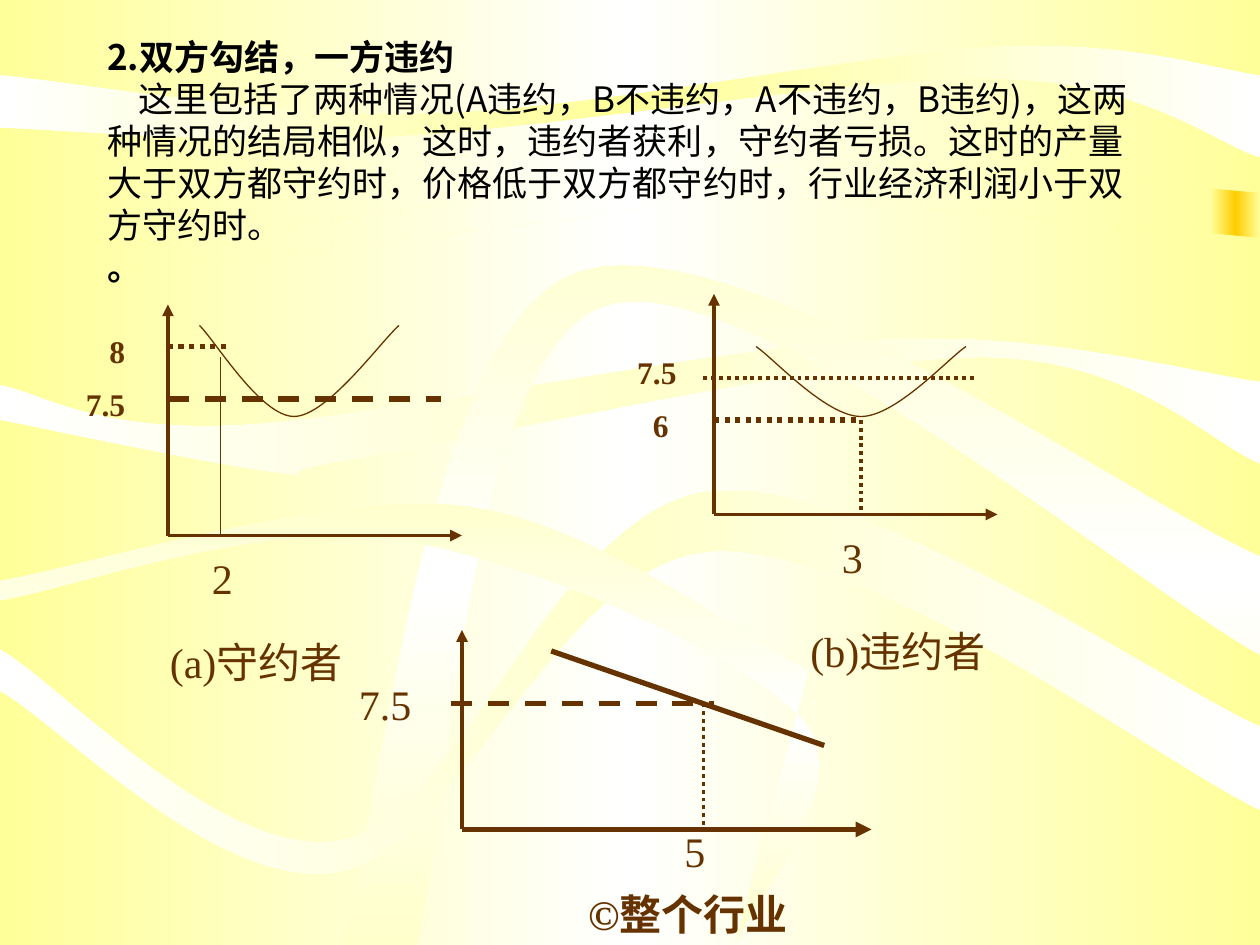
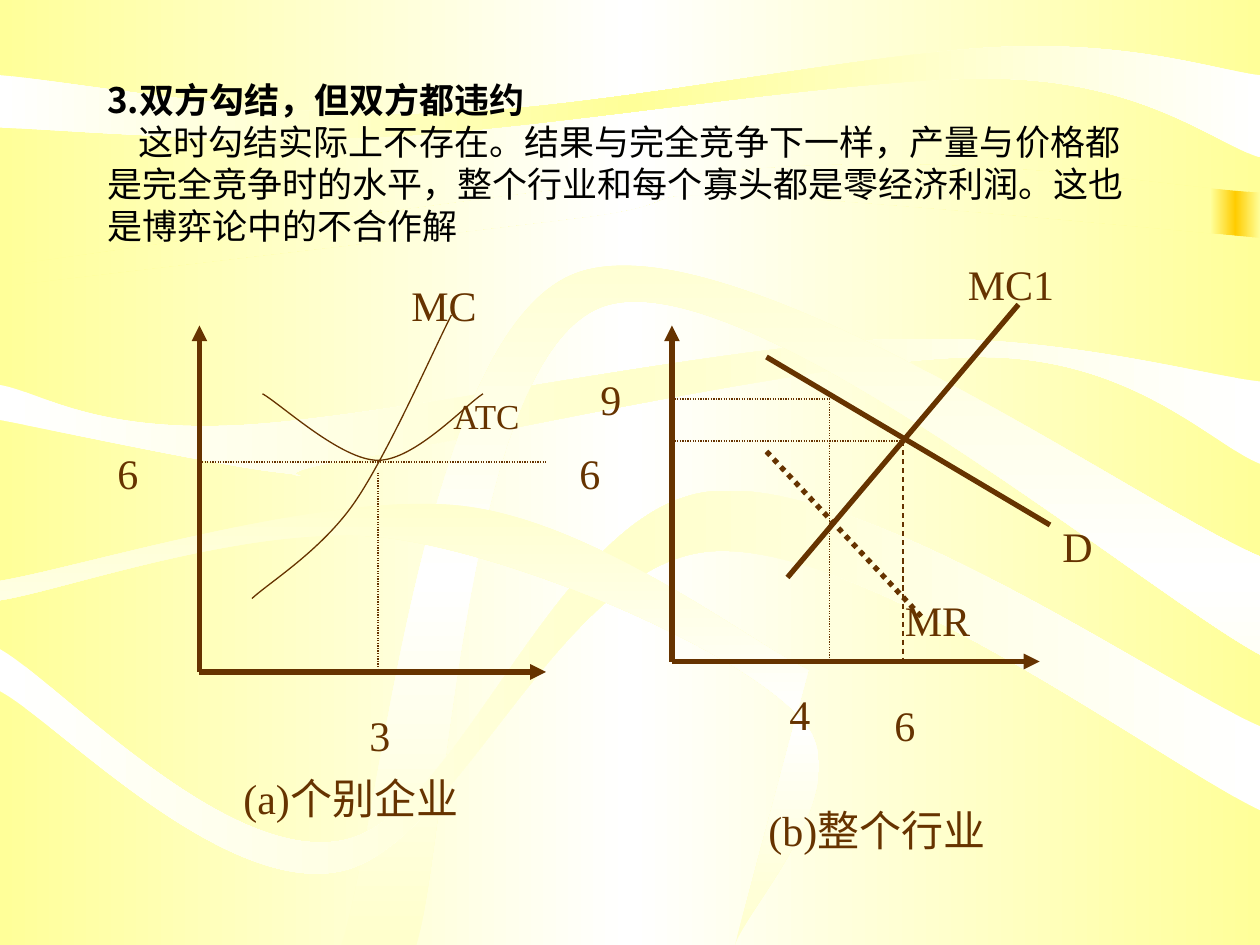
"""Two slides on collusion: one party cheating, and both parties cheating."""
from copy import deepcopy
from dataclasses import dataclass

from lxml import etree
from pptx import Presentation
from pptx.dml.color import RGBColor
from pptx.enum.dml import MSO_LINE
from pptx.enum.shapes import MSO_CONNECTOR, MSO_SHAPE
from pptx.enum.text import MSO_ANCHOR, MSO_AUTO_SIZE, PP_ALIGN
from pptx.oxml.ns import qn
from pptx.util import Pt

SOLID, DOT, DASH = None, MSO_LINE.ROUND_DOT, MSO_LINE.DASH
LEFT, CENTER = PP_ALIGN.LEFT, PP_ALIGN.CENTER
STRAIGHT, RECTANGLE = MSO_CONNECTOR.STRAIGHT, MSO_SHAPE.RECTANGLE
MIDDLE, NO_FIT, GROW = MSO_ANCHOR.MIDDLE, MSO_AUTO_SIZE.NONE, MSO_AUTO_SIZE.SHAPE_TO_FIT_TEXT


@dataclass(frozen=True)
class Theme:
    ink: RGBColor = RGBColor.from_string("663300")
    black: RGBColor = RGBColor.from_string("000000")
    white: RGBColor = RGBColor.from_string("FFFFFF")
    yellow: RGBColor = RGBColor.from_string("FFFF99")
    cream: RGBColor = RGBColor.from_string("FFFFCC")
    gold: RGBColor = RGBColor.from_string("FFCC00")
    title_font: str = "Noto Sans CJK SC"
    label_font: str = "Times New Roman"
    title: int = 20
    title_line: int = 24
    label: int = 24
    curve_name: int = 20
    price: int = 18
    thin: float = 0.75
    medium: float = 2.25
    thick: float = 3


THEME = Theme()
THIN, MEDIUM, THICK = THEME.thin, THEME.medium, THEME.thick
WIDTH, HEIGHT = 720, 540
OVERHANG = 6


def trace_path(shapes, edges, closed=False):
    """Draw each edge as a smooth curve through its points, edges joined by lines."""
    vertices, curved = [], []
    for edge in edges:
        vertices.append(edge[0])
        curved.append(False)
        padded = [edge[0], *edge, edge[-1]]
        for before, start, end, after in zip(padded, padded[1:], padded[2:], padded[3:]):
            vertices += [[s + (e - b) / 6 for b, s, e in zip(before, start, end)],
                         [e - (a - s) / 6 for s, e, a in zip(start, end, after)], end]
            curved.append(True)
    points = [(Pt(x), Pt(y)) for x, y in vertices]
    builder = shapes.build_freeform(*points[0])
    builder.add_line_segments(points[1:], close=closed)
    outline = builder.convert_to_shape()
    outline.shadow.inherit = False
    steps = iter(outline.element.findall(".//" + qn("a:lnTo")))
    for is_curve in curved[1:]:
        step = next(steps)
        if is_curve:
            step.tag = qn("a:cubicBezTo")
            for handle in (next(steps), next(steps)):
                step.append(handle[0])
                handle.getparent().remove(handle)
    return outline


def fill_gradient(fill, edge, middle, angle=0):
    """Blend from edge to middle and back to edge."""
    fill.gradient()
    fill.gradient_angle = angle
    first = fill.gradient_stops[0]._gs
    first.addnext(deepcopy(first))
    for index, (stop, color) in enumerate(zip(fill.gradient_stops, (edge, middle, edge))):
        stop.color.rgb = color
        stop.position = index / 2


ACROSS, UPRIGHT = 0, 270
RIBBONS = [
    (THEME.yellow, THEME.white, ACROSS, [
        [(0, 0)], [(WIDTH, 0)], [(WIDTH, 110), (450, 95), (0, 152)]]),
    (THEME.yellow, THEME.white, ACROSS, [
        [(0, 164), (330, 125), (422, 112), (WIDTH, 136)], [(WIDTH, HEIGHT)], [(0, HEIGHT)]]),
    (THEME.white, THEME.yellow, ACROSS, [
        [(0, 73), (222, 78), (572, 45), (WIDTH, 90)],
        [(WIDTH, 43), (570, 27), (248, 65), (0, 43)]]),
    (THEME.white, THEME.cream, ACROSS, [
        [(0, 240), (160, 270), (203, 262), (562, 204), (WIDTH, 265)],
        [(WIDTH, 218), (505, 194), (137, 243), (0, 220)]]),
    (THEME.cream, THEME.white, UPRIGHT, [
        [(195, HEIGHT), (327, 157), (WIDTH, 318)],
        [(WIDTH, 374), (345, 175), (238, HEIGHT)]]),
    (THEME.white, THEME.cream, ACROSS, [
        [(0, 395), (194, 498), (407, 315), (WIDTH, 463)],
        [(WIDTH, 415), (405, 281), (197, 480), (0, 371)]]),
    (THEME.cream, THEME.white, UPRIGHT, [
        [(0, 343), (226, 308), (459, 412), (420, HEIGHT)],
        [(462, 383), (263, 289), (0, 332)]]),
]

# panels: origin, axis ends and weights, then drops (x, top) and levels (y, right end)
TOPICS = [
    {
        "title_top": 49, "title_height": 87,
        "title": [
            ("2.双方勾结，一方违约", True),
            ("这里包括了两种情况(A违约，B不违约，A不违约，B违约)，这两种情况的结局相似，"
             "这时，违约者获利，守约者亏损。这时的产量大于双方都守约时，价格低于双方都守约时，"
             "行业经济利润小于双方守约时。", False),
            ("。", True),
        ],
        "panels": [
            ((96, 306), 264, 174, MEDIUM, [(126, 204, THIN, SOLID)],
             [(198, 132, THICK, DOT, 0), (228, 252, THICK, DASH, 0)]),
            ((408, 294), 570, 168, MEDIUM, [(492, 240, MEDIUM, DOT)],
             [(240, 492, THICK, DOT, 0), (216, 558, MEDIUM, DOT, OVERHANG)]),
            ((264, 474), 498, 360, THICK, [(402, 402, MEDIUM, DOT)],
             [(402, 408, THICK, DASH, OVERHANG)]),
        ],
        "slopes": [(315, 372, 471, 426, SOLID)],
        "curves": [[(114, 186), (168, 238), (228, 186)], [(432, 198), (492, 238), (552, 198)]],
        "labels": [
            ("3", 474, 300), ("2", 114, 312), ("7.5", 198, 384), ("5", 384, 468),
            ("(a)守约者", 90, 360, 114), ("(b)违约者", 456, 354, 120),
            ("©整个行业", 294, 504, 198, THEME.label, True, CENTER),
            ("7.5\n6", 348, 198, 54, THEME.price, True, LEFT, (2, 4)),
            ("8\n7.5", 24, 186, 66, THEME.price, True, LEFT, (7, 4)),
        ],
    },
    {
        "title_top": 48, "title_height": 90,
        "title": [
            ("3.双方勾结，但双方都违约", True),
            ("这时勾结实际上不存在。结果与完全竞争下一样，产量与价格都是完全竞争时的水平，"
             "整个行业和每个寡头都是零经济利润。这也是博弈论中的不合作解", False),
        ],
        "panels": [
            ((114, 384), 312, 186, THICK, [(216, 270, THIN, DOT)], [(264, 312, THIN, DOT, 0)]),
            ((384, 378), 594, 186, THICK, [(474, 228, THIN, DOT), (516, 252, THIN, DASH)],
             [(228, 474, THIN, DOT, 0), (252, 516, THIN, DOT, 0)]),
        ],
        "slopes": [(438, 204, 600, 300, SOLID), (450, 330, 582, 174, SOLID),
                   (438, 258, 528, 354, DOT)],
        "curves": [[(150, 225), (216, 263), (276, 225)], [(144, 342), (202, 288), (258, 180)]],
        "labels": [
            ("MC1", 546, 144, 84), ("D", 600, 294), ("MR", 510, 336, 66), ("4", 444, 390),
            ("6", 324, 252), ("6", 504, 396), ("9", 336, 210), ("3", 204, 402), ("6", 60, 252),
            ("MC", 228, 156, 66), ("ATC", 252, 222, 72, THEME.curve_name),
            ("(a)个别企业", 132, 438, 192), ("(b)整个行业", 432, 456, 162),
        ],
    },
]
TOPICS = [dict(topic) for topic in TOPICS]
LABEL_DEFAULTS = (48, THEME.label, False, LEFT, (0,))

prs = Presentation()
prs.slide_width, prs.slide_height = Pt(WIDTH), Pt(HEIGHT)
slides = [prs.slides.add_slide(prs.slide_layouts[5]) for _ in TOPICS]

master = prs.slide_master
fill_gradient(master.background.fill, THEME.yellow, THEME.white)
stage = slides[0].shapes
side_tab = stage.add_shape(RECTANGLE, Pt(692), Pt(35), Pt(28), Pt(248))
side_tab.shadow.inherit = False
fill_gradient(side_tab.fill, THEME.yellow, THEME.gold)
backdrop = [side_tab]
for edge, middle, angle, outline_edges in RIBBONS:
    ribbon = trace_path(stage, outline_edges, closed=True)
    fill_gradient(ribbon.fill, edge, middle, angle)
    backdrop.append(ribbon)
for depth, part in enumerate(backdrop, start=2):
    part.line.fill.background()
    master.shapes.element.insert(depth, part.element)

for slide, topic in zip(slides, TOPICS):
    shapes = slide.shapes
    title = shapes.title
    title.left, title.width = Pt(54), Pt(612)
    title.top, title.height = Pt(topic["title_top"]), Pt(topic["title_height"])
    frame = title.text_frame
    frame.word_wrap, frame.auto_size, frame.vertical_anchor = True, NO_FIT, MIDDLE
    frame.text = "\n".join(text for text, _ in topic["title"])
    for paragraph, (_, bold) in zip(frame.paragraphs, topic["title"]):
        paragraph._p.get_or_add_pPr().set("indent", str(Pt(0 if bold else 18)))
        paragraph.alignment, paragraph.line_spacing = LEFT, Pt(THEME.title_line)
        font = paragraph.font
        font.name, font.size, font.bold = THEME.title_font, Pt(THEME.title), bold
        font.color.rgb = THEME.black

    strokes = [(*ends, THICK, dash, False) for *ends, dash in topic["slopes"]]
    for (x, y), right, top, weight, drops, levels in topic["panels"]:
        upright_weight = MEDIUM if slide is slides[0] else weight
        strokes += [(x, y, x, top, upright_weight, SOLID, True),
                    (x, y, right, y, weight, SOLID, True)]
        strokes += [(at, start, at, y, *style, False) for at, start, *style in drops]
        strokes += [(x - overhang, at, end, at, *style, False)
                    for at, end, *style, overhang in levels]
    for x1, y1, x2, y2, weight, dash, arrow in strokes:
        stroke = shapes.add_connector(STRAIGHT, Pt(x1), Pt(y1), Pt(x2), Pt(y2))
        stroke.line.color.rgb, stroke.line.width = THEME.ink, Pt(weight)
        if dash:
            stroke.line.dash_style = dash
        properties = stroke.element.spPr
        if arrow:
            etree.SubElement(properties.find(qn("a:ln")), qn("a:tailEnd"), type="triangle")
        etree.SubElement(properties, qn("a:effectLst"))

    for points in topic["curves"]:
        curve = trace_path(shapes, [points])
        curve.fill.background()
        curve.line.color.rgb, curve.line.width = THEME.ink, Pt(THIN)

    for text, left, top, *options in topic["labels"]:
        width, size, bold, align, indents = (*options, *LABEL_DEFAULTS[len(options):])
        height = size * 1.5 * len(indents)
        frame = shapes.add_textbox(Pt(left), Pt(top), Pt(width), Pt(height)).text_frame
        frame.word_wrap, frame.auto_size = True, GROW
        frame.text = text
        for row, (paragraph, indent) in enumerate(zip(frame.paragraphs, indents)):
            paragraph._p.get_or_add_pPr().set("marL", str(Pt(indent * size / 4)))
            paragraph.alignment = align
            if row:
                paragraph.space_before = Pt(size / 2)
            font = paragraph.font
            font.name, font.size, font.bold = THEME.label_font, Pt(size), bold
            font.color.rgb = THEME.ink

prs.save("out.pptx")
